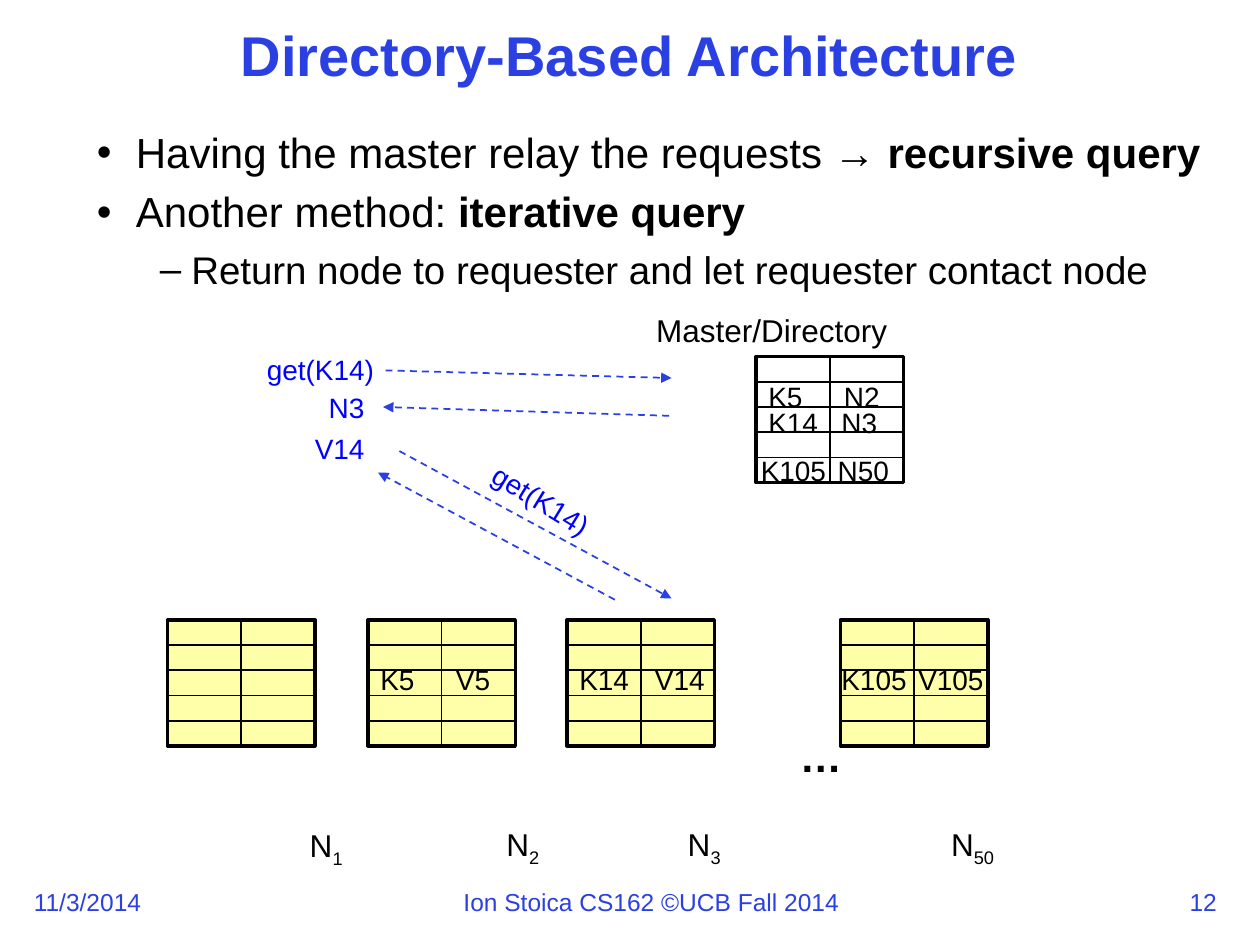
import dataclasses

import pptx
import pptx.dml.color
import pptx.enum.dml
import pptx.enum.shapes
import pptx.enum.text
import pptx.oxml
import pptx.oxml.ns
import pptx.util

PX = 9144
ALIGN = pptx.enum.text.PP_ALIGN


@dataclasses.dataclass(frozen=True)
class Theme:
    """Colours, font and type sizes of the slide."""
    font: str = "Arial"
    accent: str = "2A40E2"
    message: str = "0000FF"
    ink: str = "000000"
    node: str = "FFFFAA"
    directory: str = "FFFFFF"
    title_size: int = 32
    body_size: int = 24
    sub_size: int = 22
    label_size: int = 18
    cell_size: int = 16
    footer_size: int = 14


THEME = Theme()


def px(*lengths):
    """Turn pixel lengths into EMU."""
    return [pptx.util.Emu(length * PX) for length in lengths]


def rgb(color):
    """Turn a hex string into a colour."""
    return pptx.dml.color.RGBColor.from_string(color)


def add_xml(parent, tag, **attributes):
    """Append a drawing element to a parent."""
    element = pptx.oxml.parse_xml(f"<a:{tag} {pptx.oxml.ns.nsdecls('a')}/>")
    for name, value in attributes.items():
        element.set(name, value)
    parent.append(element)


def style(paragraph, size, color, bold=None):
    """Set the font of a whole paragraph."""
    font = paragraph.font
    font.name, font.size, font.bold = THEME.font, pptx.util.Pt(size), bold
    font.color.rgb = rgb(color)


def add_text(slide, box, text, size, color=THEME.ink, bold=None, align=None, subscript=""):
    """Add a one-line label, with an optional subscript."""
    shape = slide.shapes.add_textbox(*px(*box))
    shape.text_frame.word_wrap = False
    paragraph = shape.text_frame.paragraphs[0]
    paragraph.alignment = align
    style(paragraph, size, color, bold)
    paragraph.add_run().text = text
    if subscript:
        run = paragraph.add_run()
        run.text = subscript
        run._r.get_or_add_rPr().set("baseline", "-25000")
    return shape


def add_line(slide, start, end, color=THEME.ink):
    """Add a thin straight connector."""
    line = slide.shapes.add_connector(
        pptx.enum.shapes.MSO_CONNECTOR.STRAIGHT, *px(*start, *end))
    line.line.color.rgb = rgb(color)
    line.line.width = pptx.util.Pt(1)
    add_xml(line._element.spPr, "effectLst")
    return line


def add_arrow(slide, start, end):
    """Add a dashed message arrow."""
    arrow = add_line(slide, start, end, THEME.accent)
    arrow.line.dash_style = pptx.enum.dml.MSO_LINE.DASH
    add_xml(arrow.line._get_or_add_ln(), "tailEnd", type="triangle")


def add_title(slide, box, text):
    """Place and format the title placeholder."""
    title = slide.shapes.title
    title.left, title.top, title.width, title.height = px(*box)
    frame = title.text_frame
    frame.text = text
    frame.auto_size = pptx.enum.text.MSO_AUTO_SIZE.NONE
    frame.vertical_anchor = pptx.enum.text.MSO_ANCHOR.MIDDLE
    paragraph = frame.paragraphs[0]
    paragraph.alignment, paragraph.line_spacing = ALIGN.CENTER, 0.9
    style(paragraph, THEME.title_size, THEME.accent, True)


def add_bullets(slide, box, items):
    """Add the bulleted text: level, plain part, bold part."""
    frame = slide.shapes.add_textbox(*px(*box)).text_frame
    frame.word_wrap = True
    levels = [("•", 31, 31, THEME.body_size), ("–", 75, 25, THEME.sub_size)]
    for index, (level, plain, strong) in enumerate(items):
        paragraph = frame.add_paragraph() if index else frame.paragraphs[0]
        bullet, margin, hanging, size = levels[level]
        paragraph.level, paragraph.line_spacing = level, 0.9
        if index:
            paragraph.space_before = pptx.util.Pt(8)
        properties = paragraph._p.get_or_add_pPr()
        properties.set("marL", str(margin * PX))
        properties.set("indent", str(-hanging * PX))
        add_xml(properties, "buFont", typeface=THEME.font)
        add_xml(properties, "buChar", char=bullet)
        style(paragraph, size, THEME.ink)
        paragraph.add_run().text = plain
        if strong:
            run = paragraph.add_run()
            run.text, run.font.bold = strong, True


def add_store(slide, box, fill, entries):
    """Add a two-column key store with its entries: text, offset, width."""
    left, top, width, height = box
    rectangle = slide.shapes.add_shape(
        pptx.enum.shapes.MSO_SHAPE.RECTANGLE, *px(*box))
    rectangle.shadow.inherit = False
    rectangle.fill.solid()
    rectangle.fill.fore_color.rgb = rgb(fill)
    rectangle.line.color.rgb = rgb(THEME.ink)
    rectangle.line.width = pptx.util.Pt(2)
    middle = left + width // 2
    divider = add_line(slide, (middle, top), (middle, top + height))
    divider.begin_connect(rectangle, 0)
    divider.end_connect(rectangle, 2)
    for row in range(5):
        y = top + row * height // 5
        add_line(slide, (left, y), (left + width, y))
    for text, x, y, text_width in entries:
        add_text(slide, (left + x, top + y, text_width, 37), text, THEME.cell_size)


def add_directory(slide, box):
    """Add the master directory and its heading."""
    left, top = box[:2]
    add_text(slide, (left - 89, top - 41, 205, 40), "Master/Directory", THEME.label_size)
    add_store(slide, box, THEME.directory, [
        ("K5", 0, 13, 48), ("N2", 60, 13, 50),
        ("K14", 0, 34, 60), ("N3", 58, 34, 49),
        ("K105", -6, 72, 73), ("N50", 55, 72, 61)])


def add_nodes(slide, box):
    """Add the row of storage nodes and their names."""
    left, top, width, height = box
    nodes = [
        (0, "1", 103, 159, 48, []),
        (159, "2", 259, 158, 48, [("K5", 0, 29, 48), ("V5", 60, 29, 48)]),
        (317, "3", 403, 158, 48, [("K14", 0, 29, 60), ("V14", 60, 29, 60)]),
        (534, "50", 612, 158, 57, [("K105", -9, 29, 73), ("V105", 52, 29, 73)])]
    for x, number, name_x, name_y, name_width, entries in nodes:
        add_store(slide, (left + x, top, 117, height), THEME.node, entries)
        add_text(slide, (left + name_x, top + name_y, name_width, 40), "N",
                 THEME.label_size, subscript=number)
    add_text(slide, (left + 492, top + 83, 54, 50), "…", THEME.body_size, bold=True)


def add_messages(slide, box):
    """Add the requests and replies of the requester."""
    left, top = box[:2]
    labels = [("get(K14)", 0, 0, 106, 0), ("N3", 49, 30, 49, 0),
              ("V14", 38, 63, 60, 0), ("get(K14)", 175, 104, 106, 31.4)]
    for text, x, y, width, rotation in labels:
        label = add_text(slide, (left + x, top + y, width, 37), text,
                         THEME.cell_size, THEME.message)
        label.rotation = rotation
    arrows = [(104, 19, 331, 25), (329, 55, 102, 48),
              (115, 83, 331, 200), (286, 201, 98, 100)]
    for x1, y1, x2, y2 in arrows:
        add_arrow(slide, (left + x1, top + y1), (left + x2, top + y2))


def add_footer(slide, box):
    """Add date, credit and page number."""
    left, top, width, height = box
    parts = [("11/3/2014", 0, 106, None),
             ("Ion Stoica CS162 ©UCB Fall 2014", 341, 321, None),
             ("12", width - 44, 44, ALIGN.CENTER)]
    for text, x, text_width, align in parts:
        add_text(slide, (left + x, top, text_width, height), text,
                 THEME.footer_size, THEME.accent, align=align)


def main():
    """Build the slide and save it."""
    presentation = pptx.Presentation()
    presentation.slide_width, presentation.slide_height = px(1000, 750)
    slide = presentation.slides.add_slide(presentation.slide_layouts[5])
    add_footer(slide, (17, 699, 960, 34))
    add_title(slide, (108, 17, 783, 58), "Directory-Based Architecture")
    add_bullets(slide, (67, 100, 908, 142), [
        (0, "Having the master relay the requests → ", "recursive query"),
        (0, "Another method: ", "iterative query"),
        (1, "Return node to requester and let requester contact node", "")])
    add_nodes(slide, (133, 492, 651, 100))
    add_directory(slide, (600, 283, 117, 100))
    add_messages(slide, (202, 275, 331, 201))
    presentation.save("out.pptx")


if __name__ == "__main__":
    main()
